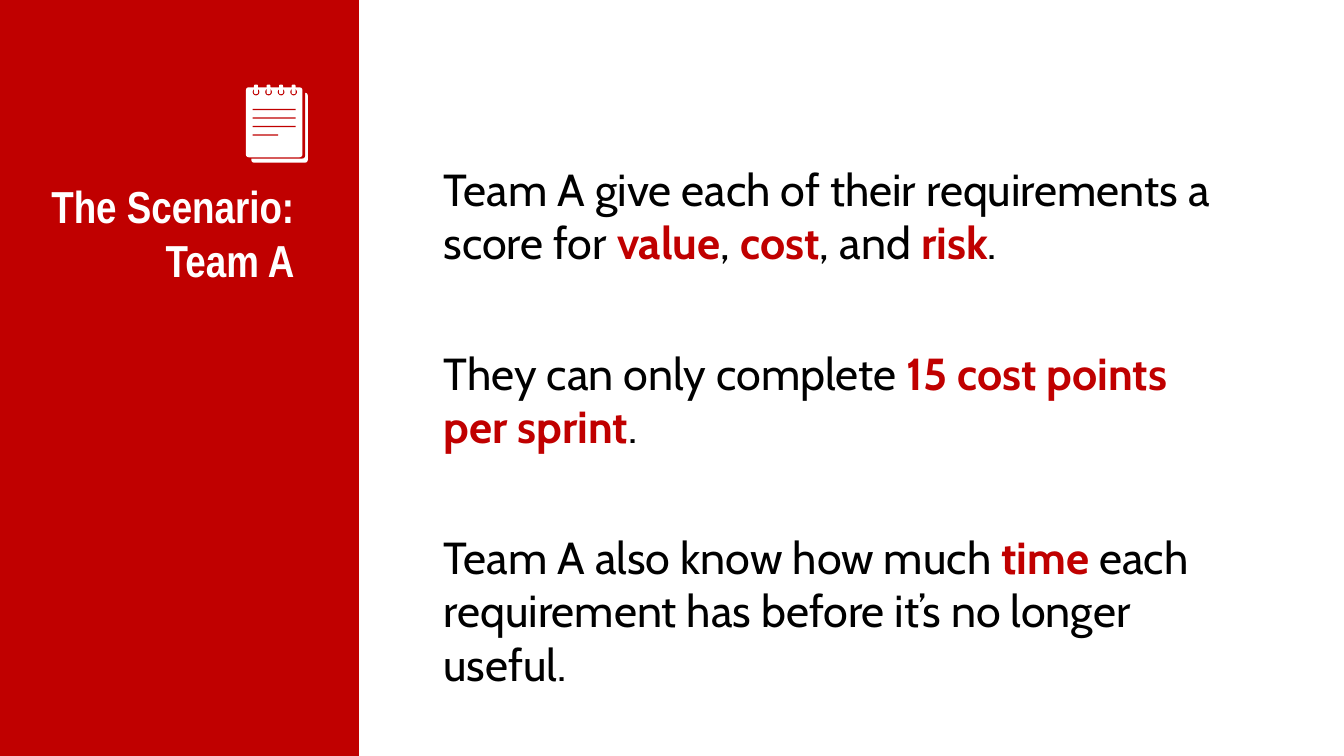
"""Build the Team A scenario slide with a red title panel and a notepad icon."""
from dataclasses import dataclass

from lxml import etree
from pptx import Presentation
from pptx.dml.color import RGBColor
from pptx.enum.shapes import MSO_SHAPE
from pptx.enum.text import MSO_ANCHOR, MSO_AUTO_SIZE, PP_ALIGN
from pptx.oxml.ns import qn
from pptx.util import Inches, Pt

RECT, ROUNDED, OVAL = MSO_SHAPE.RECTANGLE, MSO_SHAPE.ROUNDED_RECTANGLE, MSO_SHAPE.OVAL
TOP, RIGHT, LEFT = MSO_ANCHOR.TOP, PP_ALIGN.RIGHT, PP_ALIGN.LEFT
NO_AUTOFIT = MSO_AUTO_SIZE.NONE

COLORS = {"red": "C00000", "white": "FFFFFF", "black": "000000"}
TITLE_FONT, BODY_FONT = "Arial Narrow", "Cabin"
TEXT_SIZE = 24


@dataclass
class Box:
    """Position and size in inches."""
    left: float
    top: float
    width: float
    height: float

    def lengths(self) -> tuple:
        """Return the four values as lengths."""
        return tuple(Inches(v) for v in (self.left, self.top, self.width, self.height))


@dataclass
class Span:
    """A piece of text, emphasised or plain."""
    text: str
    strong: bool = False


PARAGRAPHS = [
    [Span("Team A give each of their requirements a score for "), Span("value", True),
     Span(", "), Span("cost", True), Span(", and "), Span("risk", True), Span(".")],
    [Span("They can only complete "), Span("15 cost points per sprint", True), Span(".")],
    [Span("Team A also know how much "), Span("time", True),
     Span(" each requirement has before it’s no longer useful.")],
]


def add_block(s, kind, box: Box, color: str, radius: float = 0):
    """Add a filled shape without outline; radius is in inches."""
    sp = s.shapes.add_shape(kind, *box.lengths())
    sp.shadow.inherit = False
    sp.fill.solid()
    sp.fill.fore_color.rgb = RGBColor.from_string(COLORS[color])
    sp.line.fill.background()
    if radius:
        sp.adjustments[0] = radius / min(box.width, box.height)
    return sp


def place_text(sp, box: Box):
    """Move a placeholder and return its prepared text frame."""
    sp.left, sp.top, sp.width, sp.height = box.lengths()
    tf = sp.text_frame
    tf.word_wrap = True
    tf.auto_size = NO_AUTOFIT
    tf.vertical_anchor = TOP
    tf.margin_left = tf.margin_right = tf.margin_top = tf.margin_bottom = Inches(0.1)
    return tf


def add_run(p, text: str, font: str, color: str, bold: bool) -> None:
    """Append a formatted run to a paragraph."""
    r = p.add_run()
    r.text = text
    r.font.name = font
    r.font.size = Pt(TEXT_SIZE)
    r.font.bold = bold
    r.font.color.rgb = RGBColor.from_string(COLORS[color])


def draw_title(sp) -> None:
    """Write the right-aligned title."""
    p = place_text(sp, Box(0.21, 1.23, 2.08, 1.62)).paragraphs[0]
    p.alignment = RIGHT
    add_run(p, "The Scenario: Team A", TITLE_FONT, "white", True)


def draw_body(sp) -> None:
    """Write the unbulleted body paragraphs."""
    tf = place_text(sp, Box(3.14, 1.1, 6.08, 3.91))
    for i, spans in enumerate(PARAGRAPHS):
        p = tf.add_paragraph() if i else tf.paragraphs[0]
        p.alignment = LEFT
        p.space_before = Pt(41 if i else 6)
        pPr = p._p.get_or_add_pPr()
        pPr.set("marL", str(Inches(0.06)))
        pPr.set("indent", "0")
        etree.SubElement(pPr, qn("a:buNone"))
        for span in spans:
            add_run(p, span.text, BODY_FONT, "red" if span.strong else "black", span.strong)


def draw_notepad(s) -> None:
    """Draw the notepad from pages, rings and ruled lines."""
    add_block(s, ROUNDED, Box(1.87, 0.69, 0.42, 0.52), "white", 0.02)
    add_block(s, ROUNDED, Box(1.83, 0.65, 0.44, 0.53), "red", 0.02)
    add_block(s, ROUNDED, Box(1.83, 0.65, 0.42, 0.52), "white", 0.02)
    for i in range(4):
        left = 1.88 + i * 0.28 / 3
        add_block(s, OVAL, Box(left, 0.66, 0.05, 0.05), "red")
        add_block(s, ROUNDED, Box(left + 0.01, 0.63, 0.03, 0.07), "white", 0.01)
    for i, width in enumerate((0.32, 0.32, 0.32, 0.19)):
        add_block(s, RECT, Box(1.88, 0.81 + i * 0.19 / 3, width, 0.01), "red")


def main() -> None:
    """Build and save the slide."""
    prs = Presentation()
    prs.slide_width, prs.slide_height = Inches(10), Inches(10 * 9 / 16)
    s = prs.slides.add_slide(prs.slide_layouts[1])
    title, body = s.shapes.title, s.placeholders[1]
    panel = add_block(s, RECT, Box(-0.16, -0.1, 2.83, 6.4), "red")
    title.element.addprevious(panel.element)
    draw_title(title)
    draw_body(body)
    draw_notepad(s)
    prs.save("out.pptx")


if __name__ == "__main__":
    main()
